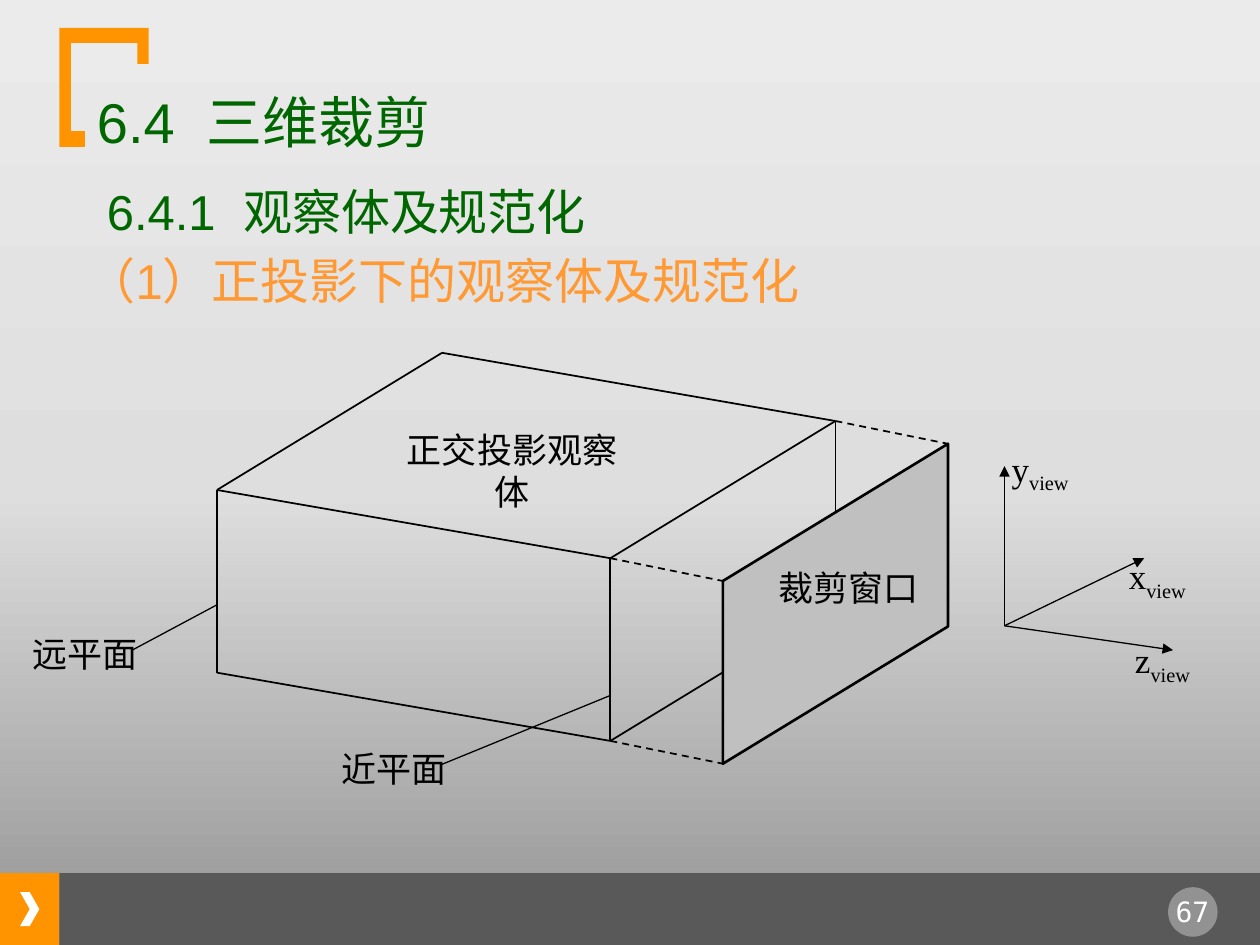
import copy

import pptx
import pptx.dml.color
import pptx.enum.dml
import pptx.enum.shapes
import pptx.enum.text
import pptx.oxml.ns
import pptx.oxml.xmlchemy
import pptx.util

Pt = pptx.util.Pt
RGBColor = pptx.dml.color.RGBColor
SHAPE = pptx.enum.shapes.MSO_SHAPE
ALIGN = pptx.enum.text.PP_ALIGN
ANCHOR = pptx.enum.text.MSO_ANCHOR
qn = pptx.oxml.ns.qn
OxmlElement = pptx.oxml.xmlchemy.OxmlElement

ORANGE = RGBColor(0xFF, 0x93, 0x00)
LIGHT_ORANGE = RGBColor(0xFF, 0x99, 0x33)
GREEN = RGBColor(0x00, 0x66, 0x00)
BLACK = RGBColor(0x00, 0x00, 0x00)
WHITE = RGBColor(0xFF, 0xFF, 0xFF)
BAR_GRAY = RGBColor(0x59, 0x59, 0x59)
WINDOW_GRAY = RGBColor(0xC0, 0xC0, 0xC0)
BACKGROUND_STOPS = [
    (0, RGBColor(0x94, 0x94, 0x94)),
    (0.48, RGBColor(0xDE, 0xDE, 0xDE)),
    (1, RGBColor(0xEB, 0xEB, 0xEB)),
]
CHINESE_FONT = "Noto Sans CJK SC"

deck = pptx.Presentation()
deck.slide_width = Pt(720)
deck.slide_height = Pt(540)
page = deck.slides.add_slide(deck.slide_layouts[5])


def write_text(text, place, size=20, font=CHINESE_FONT, color=BLACK, box=None,
               align=ALIGN.LEFT, anchor=ANCHOR.TOP, subscript="", gap=0):
    left, top, width, height = [Pt(value) for value in place]
    if box is None:
        box = page.shapes.add_textbox(left, top, width, height)
    else:
        box.left, box.top, box.width, box.height = left, top, width, height
    frame = box.text_frame
    frame.word_wrap = True
    frame.auto_size = pptx.enum.text.MSO_AUTO_SIZE.NONE
    frame.vertical_anchor = anchor
    para = frame.paragraphs[0]
    para.alignment = align
    for part in [*text.partition(" "), subscript]:
        if not part:
            continue
        span = para.add_run()
        span.text = part
        span.font.size = Pt(size)
        span.font.name = font
        span.font.color.rgb = color
        properties = span.font._element
        east_asian = OxmlElement("a:ea")
        east_asian.set("typeface", CHINESE_FONT)
        properties.append(east_asian)
        if part == " ":
            properties.set("spc", str(gap * 100))
        if part == subscript:
            properties.set("baseline", "-25000")


def draw_line(start, end, width=1, dashed=False, arrow=False):
    line = page.shapes.add_connector(
        pptx.enum.shapes.MSO_CONNECTOR.STRAIGHT, *[Pt(value) for value in (*start, *end)])
    line.line.color.rgb = BLACK
    line.line.width = Pt(width)
    if dashed:
        line.line.dash_style = pptx.enum.dml.MSO_LINE.DASH
    if arrow:
        tail = OxmlElement("a:tailEnd")
        tail.set("type", "triangle")
        line.line._get_or_add_ln().append(tail)
    line._element.spPr.append(OxmlElement("a:effectLst"))


background = page.background.fill
background.gradient()
background.gradient_angle = 90
first_stop = next(page._element.iter(qn("a:gs")))
first_stop.addnext(copy.deepcopy(first_stop))
for stop, (position, color) in zip(background.gradient_stops, BACKGROUND_STOPS):
    stop.position = position
    stop.color.rgb = color

for kind, place, color, opacity in [
    (SHAPE.RECTANGLE, (0, 499, 34, 41), ORANGE, 100),
    (SHAPE.RECTANGLE, (34, 499, 686, 41), BAR_GRAY, 100),
    (SHAPE.CHEVRON, (11.5, 509.8, 11, 19.4), WHITE, 100),
    (SHAPE.OVAL, (667.5, 507, 28.3, 28.3), WHITE, 35),
]:
    shape = page.shapes.add_shape(kind, *[Pt(value) for value in place])
    shape.shadow.inherit = False
    shape.fill.solid()
    shape.fill.fore_color.rgb = color
    shape.line.fill.background()
    if opacity < 100:
        alpha = OxmlElement("a:alpha")
        alpha.set("val", str(opacity * 1000))
        next(shape._element.spPr.iter(qn("a:srgbClr"))).append(alpha)

write_text("67", (662.4, 507.6, 38, 26.6), size=16, font="DejaVu Sans Mono",
           color=WHITE, align=ALIGN.CENTER)
write_text("6.4 三维裁剪", (48.2, 54.7, 413, 29.5), size=32, font="Arial", color=GREEN,
           box=page.shapes.title, anchor=ANCHOR.MIDDLE, gap=9)
write_text("6.4.1 观察体及规范化", (54, 105.8, 413, 29.5), size=28, font="Arial",
           color=GREEN, anchor=ANCHOR.MIDDLE, gap=8)
write_text("（1）正投影下的观察体及规范化", (42.5, 145.4, 471, 28.8), size=28, font="Arial",
           color=LIGHT_ORANGE, anchor=ANCHOR.MIDDLE)

far_top, far_bottom = (124, 280), (124, 384.4)
near_top, near_bottom = (348.8, 319), (348.8, 423.4)
back_far_top = (252.6, 201.6)
back_near_top, back_near_bottom = (477.4, 240.6), (477.4, 345)
window_top, window_bottom = (413.1, 332), (413.1, 436.4)
back_window_top, back_window_bottom = (541.7, 253.6), (541.7, 358)
axis_origin = (574, 357.6)

for start, end in [
    (back_near_top, back_near_bottom), (near_bottom, back_near_bottom),
    (far_top, back_far_top), (far_bottom, near_bottom), (far_top, near_top),
    (near_top, near_bottom), (back_far_top, back_near_top),
    (near_top, back_near_top), (far_top, far_bottom),
]:
    draw_line(start, end)

bracket = [(34, 16), (85, 16), (85, 36.5), (78.5, 36.5), (78.5, 24.5),
           (40.5, 24.5), (40.5, 75), (48.5, 75), (48.5, 84), (34, 84)]
window = [window_top, window_bottom, back_window_bottom, back_window_top]
for corners, color, outlined in [(bracket, ORANGE, False), (window, WINDOW_GRAY, True)]:
    points = [(Pt(x), Pt(y)) for x, y in corners]
    builder = page.shapes.build_freeform(*points[0])
    builder.add_line_segments(points[1:], close=True)
    outline = builder.convert_to_shape()
    outline.shadow.inherit = False
    outline.fill.solid()
    outline.fill.fore_color.rgb = color
    if outlined:
        outline.line.color.rgb = BLACK
        outline.line.width = Pt(1.5)
    else:
        outline.line.fill.background()

for start, end in [(near_top, window_top), (near_bottom, window_bottom),
                   (back_near_top, back_window_top)]:
    draw_line(start, end, dashed=True)
for tip in [(574, 266.4), (670.3, 371.5), (653.8, 319)]:
    draw_line(axis_origin, tip, width=0.75, arrow=True)
for start, end in [((252, 437), (348.8, 397.4)), ((75.6, 371.5), (124, 345.6))]:
    draw_line(start, end, width=0.75)

write_text("正交投影观察体", (220.3, 241.2, 144.7, 38.9), align=ALIGN.CENTER)
for axis, left, top in [("y", 571, 252), ("z", 641.5, 361.4), ("x", 638, 313.2)]:
    write_text(axis, (left, top, 64, 45.4), font="Times New Roman",
               align=ALIGN.JUSTIFY, subscript="view")
for label, left, top, width in [("近平面", 188, 423.4, 80.6), ("远平面", 11.5, 357.8, 80.6),
                                ("裁剪窗口", 437.8, 320.4, 96.5)]:
    write_text(label, (left, top, width, 38.9), align=ALIGN.JUSTIFY)

deck.save("out.pptx")
